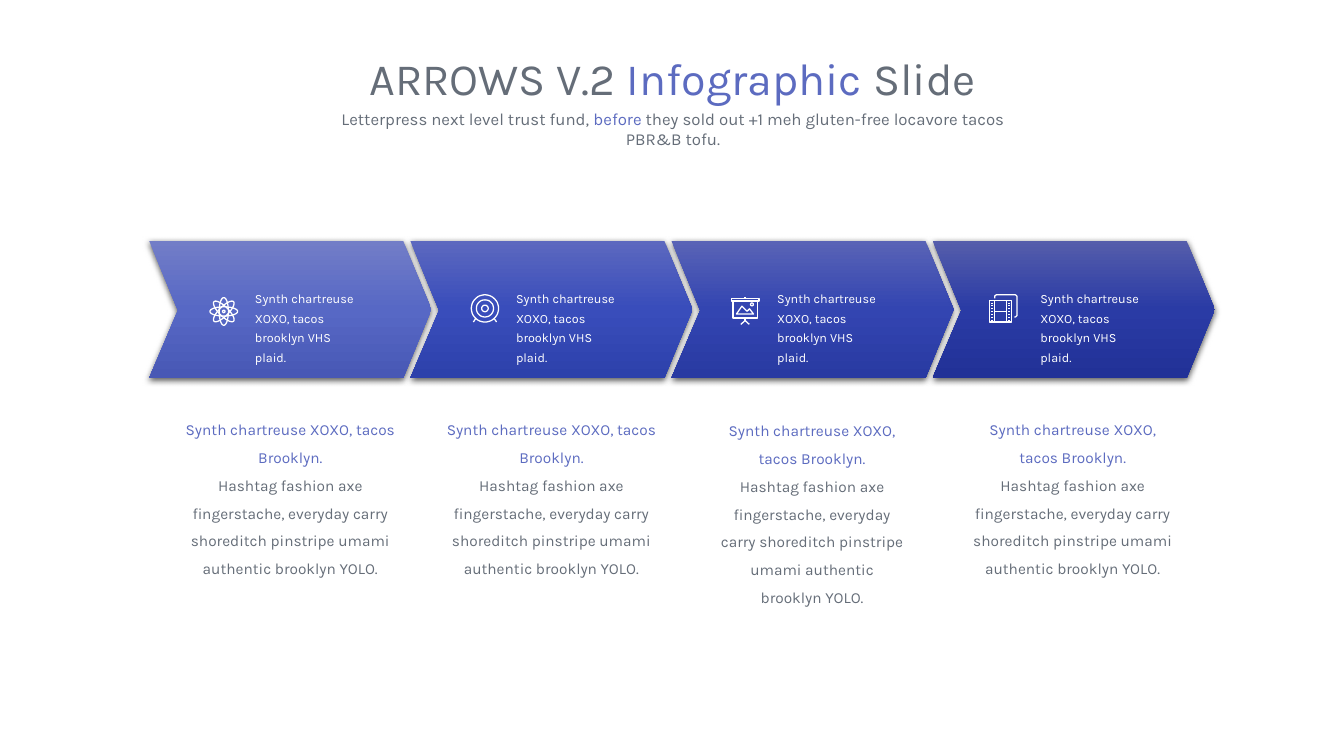
from copy import deepcopy
from dataclasses import dataclass
from math import cos, pi, sin

from lxml.etree import SubElement
from pptx import Presentation
from pptx.dml.color import RGBColor
from pptx.enum.text import MSO_ANCHOR, MSO_AUTO_SIZE, PP_ALIGN
from pptx.oxml.ns import qn
from pptx.util import Inches, Pt

GREY = RGBColor(0x65, 0x6D, 0x78)
INDIGO = RGBColor(0x5C, 0x6B, 0xC0)
WHITE = RGBColor(0xFF, 0xFF, 0xFF)

FONT = "Karla"
UNIT = Inches(0.001)
LABEL = "Synth chartreuse XOXO, tacos brooklyn VHS plaid."
HEADING = "Synth chartreuse XOXO, tacos Brooklyn."
DETAIL = ("Hashtag fashion axe fingerstache, everyday carry shoreditch "
          "pinstripe umami authentic brooklyn YOLO.")

ARROW_LEFT, ARROW_TOP, ARROW_STEP = 1.48, 2.39, 2.59
ARROW_POINTS = [(0, 0), (2520, 0), (2800, 680), (2520, 1360), (0, 1360), (285, 690)]

Point = tuple[float, float]


@dataclass
class Stroke:
    """An outline in thousandths of an inch around the icon centre."""
    points: list[Point]
    closed: bool = True


@dataclass
class Box:
    left: float
    top: float
    width: float
    height: float


@dataclass
class Step:
    gradient: tuple[str, str, str]
    label_left: float
    detail: Box
    icon_x: float
    icon_y: float
    icon: list[Stroke]


def ellipse(rx: float, ry: float, cx: float = 0, cy: float = 0, tilt: float = 0) -> Stroke:
    angles = [2 * pi * k / 48 for k in range(48)]
    return Stroke([(cx + rx * cos(a) * cos(tilt) - ry * sin(a) * sin(tilt),
                    cy + rx * cos(a) * sin(tilt) + ry * sin(a) * cos(tilt))
                   for a in angles])


def rect(x1: float, y1: float, x2: float, y2: float) -> Stroke:
    return Stroke([(x1, y1), (x2, y1), (x2, y2), (x1, y2)])


def polyline(*points: Point) -> Stroke:
    return Stroke(list(points), closed=False)


ATOM = [ellipse(137, 46, tilt=k * pi / 4) for k in range(4)] + [ellipse(12, 12)]
TARGET = [ellipse(r, r) for r in (135, 85, 32)] + [
    polyline((side * 92, 100), (side * 115, 135)) for side in (-1, 1)]
EASEL = [
    rect(-138, -120, 138, -95), rect(-120, -95, 120, 75),
    polyline((0, -120), (0, -138)), polyline((0, 75), (0, 100)),
    polyline((-42, 138), (0, 100), (42, 138)),
    ellipse(14, 14, 68, -60),
    Stroke([(-86, 36), (-32, -42), (20, 8), (44, -16), (84, 36)]),
]
FILM = [
    rect(-135, -80, 85, 135), polyline((-85, -80), (-85, 135)),
    polyline((33, -80), (33, 135)), polyline((-85, 28), (33, 28)),
    polyline((-85, -100), (-85, -122), (-70, -135), (122, -135), (137, -120),
             (137, 70), (122, 85), (110, 85)),
] + [polyline((x, y), (x, y + 9)) for x in (-110, 59) for y in range(-58, 130, 29)]

STEPS = [
    Step(("727DC7", "5768C5", "4858B5"), 2.43, Box(1.72, 4.03, 2.32, 1.74), 2.22, 3.09, ATOM),
    Step(("5C68BF", "394DBB", "2D41AB"), 5.02, Box(4.31, 4.03, 2.32, 1.74), 4.81, 3.06, TARGET),
    Step(("5963B6", "3345B1", "293AA2"), 7.61, Box(7.03, 4.04, 2.05, 1.74), 7.39, 3.08, EASEL),
    Step(("555DAB", "2A3BA5", "213197"), 10.22, Box(9.55, 4.03, 2.18, 1.74), 9.95, 3.06, FILM),
]


def write(sp, paragraphs: list[list[tuple[str, RGBColor]]], size: float,
          align: PP_ALIGN = PP_ALIGN.CENTER, spacing: float = 1.0) -> None:
    tf = sp.text_frame
    frame_format = {"word_wrap": True, "auto_size": MSO_AUTO_SIZE.NONE,
                    "vertical_anchor": MSO_ANCHOR.TOP}
    for name, value in frame_format.items():
        setattr(tf, name, value)
    for i, runs in enumerate(paragraphs):
        p = tf.add_paragraph() if i else tf.paragraphs[0]
        p_format = {"alignment": align, "line_spacing": spacing, "space_before": Pt(0)}
        for name, value in p_format.items():
            setattr(p, name, value)
        for text, color in runs:
            r = p.add_run()
            r.text = text
            for name, value in {"name": FONT, "size": Pt(size)}.items():
                setattr(r.font, name, value)
            r.font.color.rgb = color


def place(sp, box: Box) -> None:
    for name in ("left", "top", "width", "height"):
        setattr(sp, name, Inches(getattr(box, name)))


def add_text(s, box: Box, *args, **kwargs) -> None:
    sp = s.shapes.add_textbox(0, 0, 0, 0)
    place(sp, box)
    write(sp, *args, **kwargs)


def add_outline(s, strokes: list[Stroke], x: float, y: float):
    """Join the strokes into one freeform whose zero point lies at x, y."""
    builder = s.shapes.build_freeform(*strokes[0].points[0], scale=UNIT)
    for i, stroke in enumerate(strokes):
        if i:
            builder.move_to(*stroke.points[0])
        builder.add_line_segments(stroke.points[1:], close=stroke.closed)
    sp = builder.convert_to_shape(Inches(x), Inches(y))
    sp.shadow.inherit = False
    return sp


def add_arrow(s, left: float, colors: tuple[str, str, str]) -> None:
    sp = add_outline(s, [Stroke(ARROW_POINTS)], left, ARROW_TOP)
    sp.line.fill.background()
    sp.fill.gradient()
    sp.fill.gradient_angle = 270
    spPr = sp._element.spPr
    stops = spPr.find(".//" + qn("a:gsLst"))
    stops.insert(1, deepcopy(stops[0]))
    for i, (stop, color) in enumerate(zip(sp.fill.gradient_stops, colors)):
        stop.position = i / 2
        stop.color.rgb = RGBColor.from_string(color)
    shadow = SubElement(spPr.find(qn("a:effectLst")), qn("a:outerShdw"),
                        blurRad=str(Pt(4.5)), dist=str(Pt(1.5)),
                        dir="5400000", rotWithShape="0")
    black = SubElement(shadow, qn("a:srgbClr"), val="000000")
    SubElement(black, qn("a:alpha"), val="63000")


def add_icon(s, step: Step) -> None:
    sp = add_outline(s, step.icon, step.icon_x, step.icon_y)
    sp.fill.background()
    sp.line.color.rgb = WHITE
    sp.line.width = Pt(0.9)


def main() -> None:
    prs = Presentation()
    prs.slide_width, prs.slide_height = Inches(13.33), Inches(7.5)
    s = prs.slides.add_slide(prs.slide_layouts[0])
    title, subtitle = s.placeholders

    place(title, Box(2.54, 0.45, 8.26, 0.64))
    write(title, [[("ARROWS V.2 ", GREY), ("Infographic ", INDIGO), ("Slide", GREY)]], 32)
    place(subtitle, Box(3.2, 1.03, 6.95, 0.3))
    write(subtitle, [[("Letterpress next level trust fund, ", GREY), ("before", INDIGO),
                      (" they sold out +1 meh gluten-free locavore tacos PBR&B tofu.", GREY)]], 12)

    for i, step in enumerate(STEPS):
        add_arrow(s, ARROW_LEFT + i * ARROW_STEP, step.gradient)
        add_text(s, step.detail, [[(HEADING, INDIGO)], [(DETAIL, GREY)]], 11, spacing=1.5)
        add_text(s, Box(step.label_left, 2.79, 1.25, 0.69), [[(LABEL, WHITE)]], 9,
                 align=PP_ALIGN.LEFT, spacing=1.3)
        add_icon(s, step)
    prs.save("out.pptx")


if __name__ == "__main__":
    main()
